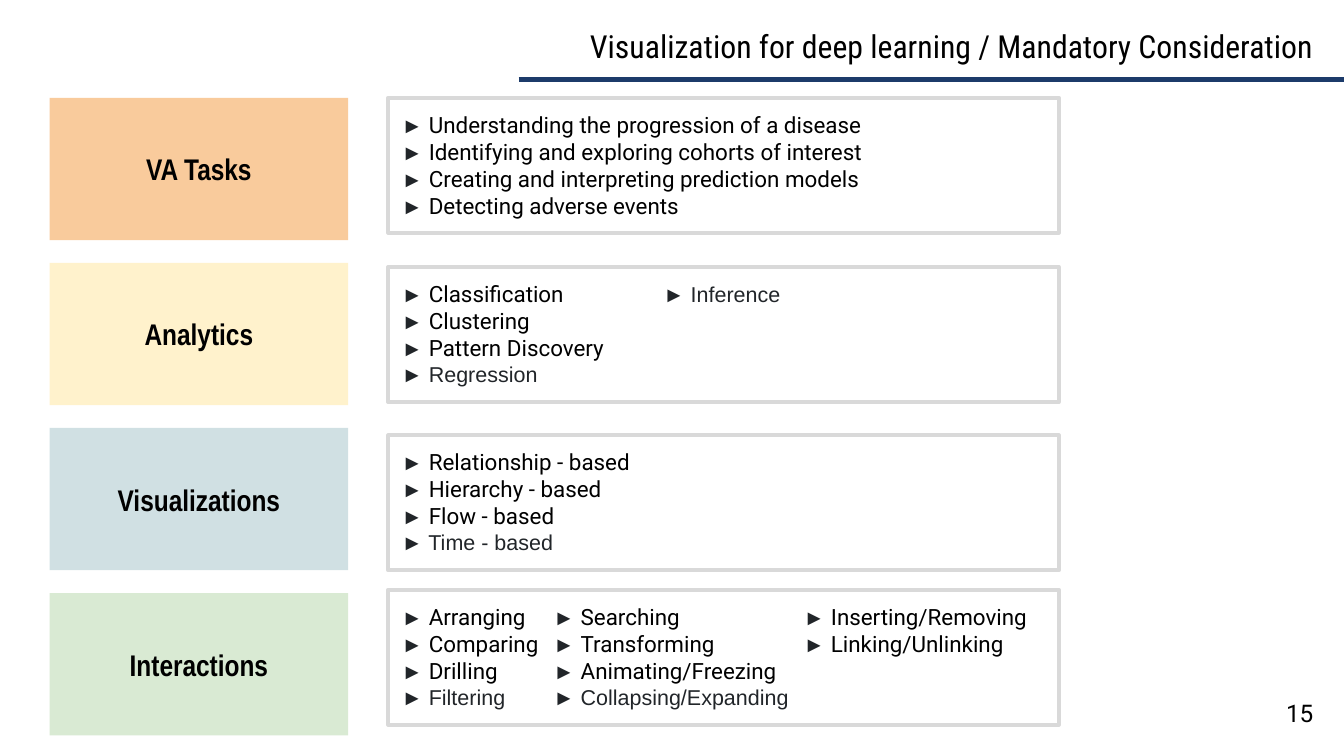
from lxml import etree
from pptx import Presentation
from pptx import util as u
from pptx.dml.color import RGBColor
from pptx.enum import shapes, text
from pptx.oxml.ns import qn

HUES = {"ink": "000000", "gray": "212529", "navy": "1C3B6A", "edge": "D9D9D9",
        "peach": "F9CB9C", "cream": "FFF2CC", "mist": "D0E0E3", "mint": "D9EAD3"}
FONTS = {
    "title": {"name": "Roboto Condensed", "size": u.Pt(17)},
    "page": {"name": "Roboto", "size": u.Pt(13)},
    "card": {"name": "Arial Narrow", "size": u.Pt(16), "bold": True},
    "item": {"name": "Roboto", "size": u.Pt(12)},
    "mark": {"name": "Arial", "size": u.Pt(11.5)},
}
PLAIN = {"Inference", "Regression", "Time - based", "Filtering", "Collapsing/Expanding"}
ROWS = [
    ("VA Tasks", "peach", 1.85, [], [
        ["Understanding the progression of a disease"],
        ["Identifying and exploring cohorts of interest"],
        ["Creating and interpreting prediction models"],
        ["Detecting adverse events"]]),
    ("Analytics", "cream", 5.05, [4.95], [
        ["Classification", "Inference"], ["Clustering"],
        ["Pattern Discovery"], ["Regression"]]),
    ("Visualizations", "mist", 8.23, [], [
        ["Relationship - based"], ["Hierarchy - based"],
        ["Flow - based"], ["Time - based"]]),
    ("Interactions", "mint", 11.15, [2.87, 7.6], [
        ["Arranging", "Searching", "Inserting/Removing"],
        ["Comparing", "Transforming", "Linking/Unlinking"],
        ["Drilling", "Animating/Freezing"],
        ["Filtering", "Collapsing/Expanding"]]),
]


class Deck:
    """Hold the style and the current slide, and draw each kind of element."""

    def __init__(self, wide, high):
        self.prs = Presentation()
        self.prs.slide_width, self.prs.slide_height = u.Cm(wide), u.Cm(high)
        self.slide = self.prs.slides.add_slide(self.prs.slide_layouts[6])

    def color(self, key):
        return RGBColor.from_string(HUES[key])

    def frame(self, shape, anchor):
        frame = shape.text_frame
        form = {"word_wrap": True, "vertical_anchor": anchor}
        form.update({f"margin_{side}": u.Cm(0.25)
                     for side in ("left", "top", "right", "bottom")})
        for key, val in form.items():
            setattr(frame, key, val)
        return frame

    def run(self, para, words, style, hue="ink"):
        run = para.add_run()
        run.text = words
        for key, val in FONTS[style].items():
            setattr(run.font, key, val)
        run.font.color.rgb = self.color(hue)

    def label(self, words, style, box, align):
        shape = self.slide.shapes.add_textbox(*map(u.Cm, box))
        para = self.frame(shape, text.MSO_ANCHOR.TOP).paragraphs[0]
        para.alignment = align
        self.run(para, words, style)

    def rule(self, left, right, top):
        line = self.slide.shapes.add_connector(
            shapes.MSO_CONNECTOR.STRAIGHT, *map(u.Cm, (left, top, right, top)))
        line.line.color.rgb, line.line.width = self.color("navy"), u.Pt(3)
        etree.SubElement(line.element.spPr, qn("a:effectLst"))

    def rect(self, box):
        shape = self.slide.shapes.add_shape(
            shapes.MSO_SHAPE.RECTANGLE, *map(u.Cm, box))
        shape.shadow.inherit = False
        return shape

    def card(self, words, hue, box):
        shape = self.rect(box)
        shape.fill.solid()
        shape.fill.fore_color.rgb = self.color(hue)
        shape.line.fill.background()
        para = self.frame(shape, text.MSO_ANCHOR.MIDDLE).paragraphs[0]
        para.alignment = text.PP_ALIGN.CENTER
        self.run(para, words, "card")

    def panel(self, lines, tabs, box):
        shape = self.rect(box)
        shape.fill.background()
        shape.line.color.rgb, shape.line.width = self.color("edge"), u.Pt(2.25)
        frame = self.frame(shape, text.MSO_ANCHOR.TOP)
        for row, items in enumerate(lines):
            para = frame.add_paragraph() if row else frame.paragraphs[0]
            para.alignment = text.PP_ALIGN.LEFT
            if len(items) > 1:
                self.tabs(para, tabs)
            for col, item in enumerate(items):
                self.run(para, "\t► " if col else "► ", "mark", "gray")
                look = ("mark", "gray") if item in PLAIN else ("item", "ink")
                self.run(para, item, *look)

    def tabs(self, para, stops):
        group = etree.SubElement(para._p.get_or_add_pPr(), qn("a:tabLst"))
        for stop in stops:
            etree.SubElement(group, qn("a:tab"), pos=str(u.Cm(stop)), algn="l")


def main():
    deck = Deck(25.4, 14.29)
    deck.rule(9.8, 25.4, 1.5)
    deck.label("Visualization for deep learning / Mandatory Consideration",
               "title", (10.52, 0.25, 14.94, 1.24), text.PP_ALIGN.CENTER)
    deck.label("15", "page", (23.55, 12.95, 1.52, 1.09), text.PP_ALIGN.RIGHT)
    for i, (name, hue, top, tabs, lines) in enumerate(ROWS):
        deck.card(name, hue, (0.94, 1.85 + 3.12 * i, 5.64, 2.69))
        deck.panel(lines, tabs, (7.34, top, 12.67, 2.55))
    deck.prs.save("out.pptx")


if __name__ == "__main__":
    main()
